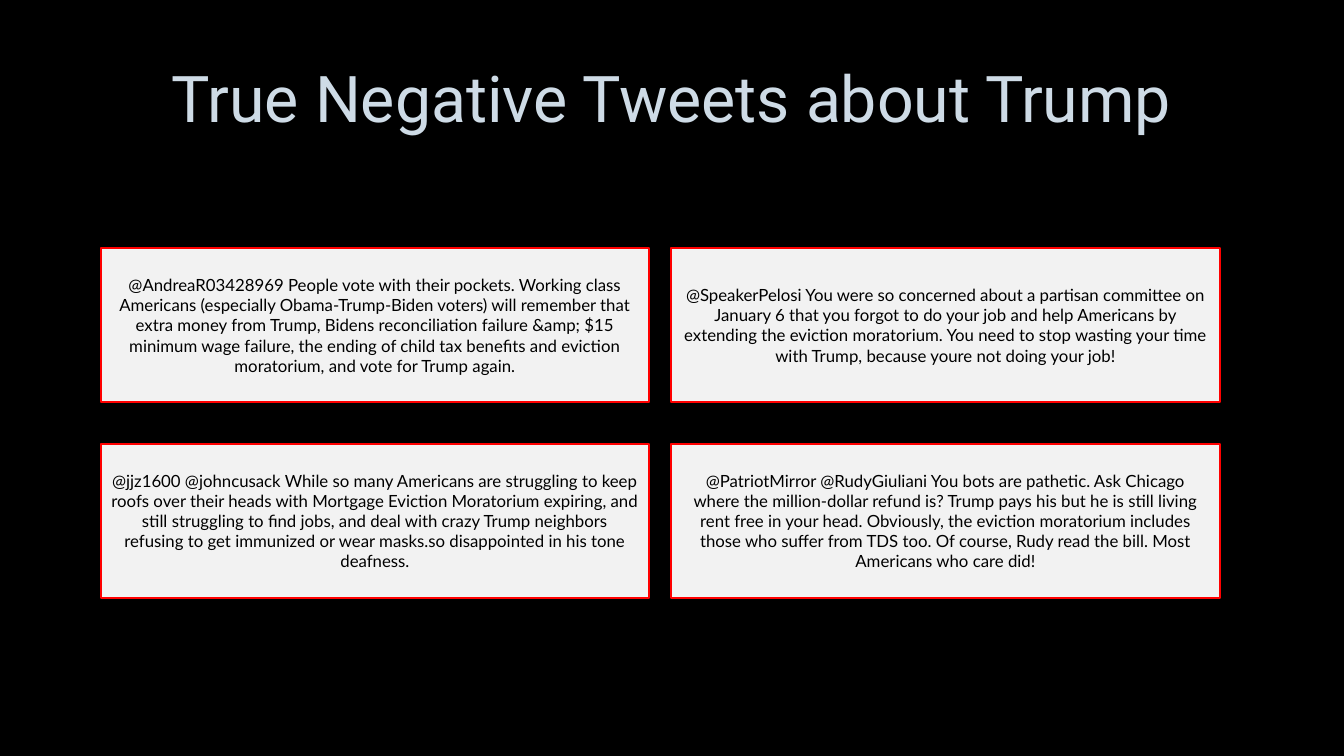
from lxml import etree
from pptx import Presentation
from pptx.dml.color import RGBColor
from pptx.enum.shapes import MSO_SHAPE as Shape
from pptx.enum.text import MSO_ANCHOR as Anchor, PP_ALIGN as Align
from pptx.oxml.ns import nsdecls
from pptx.util import Cm, Pt

COLORS = {
    "background": "000000",
    "title": "CEDBE6",
    "title_outline": "404040",
    "card": "F2F2F2",
    "border": "FF0000",
    "text": "000000",
}
TWEETS = [
    "@AndreaR03428969 People vote with their pockets. Working class Americans "
    "(especially Obama-Trump-Biden voters) will remember that extra money from Trump, "
    "Bidens reconciliation failure &amp; $15 minimum wage failure, the ending of child "
    "tax benefits and eviction moratorium, and vote for Trump again.",
    "@SpeakerPelosi You were so concerned about a partisan committee on January 6 that "
    "you forgot to do your job and help Americans by extending the eviction moratorium. "
    "You need to stop wasting your time with Trump, because youre not doing your job!",
    "@jjz1600 @johncusack While so many Americans are struggling to keep roofs over "
    "their heads with Mortgage Eviction Moratorium expiring, and still struggling to "
    "find jobs, and deal with crazy Trump neighbors refusing to get immunized or wear "
    "masks.so disappointed in his tone deafness.",
    "@PatriotMirror @RudyGiuliani You bots are pathetic. Ask Chicago where the "
    "million-dollar refund is? Trump pays his but he is still living rent free in your "
    "head. Obviously, the eviction moratorium includes those who suffer from TDS too. "
    "Of course, Rudy read the bill. Most Americans who care did!",
]
# Card grid, in centimetres
LEFT, TOP = 2.54, 6.25
CARD_WIDTH, CARD_HEIGHT = 13.82, 3.89
COLUMN_STEP, ROW_STEP = 14.38, 4.93


def rgb(name):
    return RGBColor.from_string(COLORS[name])


class TweetSlide:
    def __init__(self, presentation):
        self.slide = presentation.slides.add_slide(presentation.slide_layouts[5])
        fill = self.slide.background.fill
        fill.solid()
        fill.fore_color.rgb = rgb("background")

    def set_text(self, shape, text, font_name, size, color):
        frame = shape.text_frame
        frame.text = text
        frame.word_wrap = True
        frame.vertical_anchor = Anchor.MIDDLE
        paragraph = frame.paragraphs[0]
        paragraph.alignment = Align.CENTER
        run = paragraph.runs[0]
        run.font.name = font_name
        run.font.size = Pt(size)
        run.font.color.rgb = rgb(color)
        return paragraph

    def title(self, text, left, top, width, height):
        shape = self.slide.shapes.title
        shape.left, shape.top = Cm(left), Cm(top)
        shape.width, shape.height = Cm(width), Cm(height)
        paragraph = self.set_text(shape, text, "Roboto", 46, "title")
        paragraph.line_spacing = 0.9
        # Faint letter outline, 10 % opaque
        outline = etree.fromstring(
            f'<a:ln {nsdecls("a")} w="{Pt(0.75)}"><a:solidFill>'
            f'<a:srgbClr val="{COLORS["title_outline"]}"><a:alpha val="10000"/>'
            '</a:srgbClr></a:solidFill></a:ln>'
        )
        properties = paragraph.runs[0]._r.get_or_add_rPr()
        properties.insert(0, outline)

    def card(self, text, left, top):
        shape = self.slide.shapes.add_shape(
            Shape.RECTANGLE, Cm(left), Cm(top), Cm(CARD_WIDTH), Cm(CARD_HEIGHT)
        )
        shape.shadow.inherit = False
        shape.fill.solid()
        shape.fill.fore_color.rgb = rgb("card")
        shape.line.color.rgb = rgb("border")
        shape.line.width = Pt(1.25)
        self.set_text(shape, text, "Lato", 12, "text")


def main():
    presentation = Presentation()
    presentation.slide_width, presentation.slide_height = Cm(33.87), Cm(19.05)
    slide = TweetSlide(presentation)

    # Heading
    slide.title("True Negative Tweets about Trump", LEFT, 0.81, 28.75, 3.51)

    # Tweets, two to a row
    for index, tweet in enumerate(TWEETS):
        row, column = divmod(index, 2)
        slide.card(tweet, LEFT + column * COLUMN_STEP, TOP + row * ROW_STEP)

    presentation.save("out.pptx")


if __name__ == "__main__":
    main()
